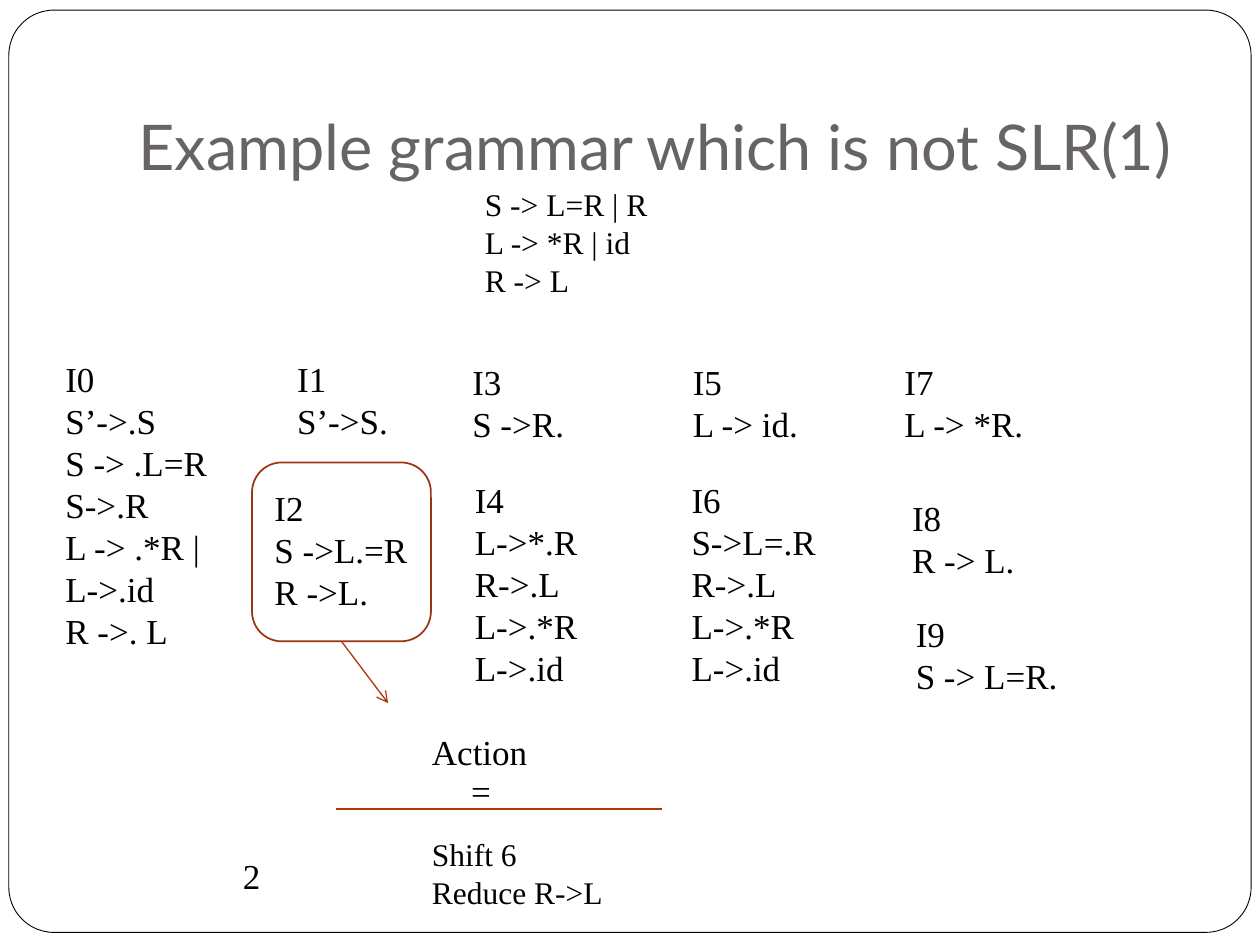
from lxml import etree
from pptx import Presentation
from pptx.dml.color import RGBColor
from pptx.enum.shapes import MSO_CONNECTOR, MSO_SHAPE
from pptx.enum.text import MSO_ANCHOR, MSO_AUTO_SIZE, PP_ALIGN
from pptx.oxml.ns import qn
from pptx.util import Inches, Pt

LINE = MSO_CONNECTOR.STRAIGHT
ROUND = MSO_SHAPE.ROUNDED_RECTANGLE
BOTTOM = MSO_ANCHOR.BOTTOM
LEFT = PP_ALIGN.LEFT
NO_FIT = MSO_AUTO_SIZE.NONE
GROW = MSO_AUTO_SIZE.SHAPE_TO_FIT_TEXT

BLACK = RGBColor(0, 0, 0)
WHITE = RGBColor(255, 255, 255)
GRAY = RGBColor(0x69, 0x64, 0x64)
RUST = RGBColor(0x9C, 0x35, 0x11)
RED = RGBColor(0xB1, 0x36, 0x0B)

# Left, top, width and lines of each item set
STATES = [
    (0.42, 2.79, 1.41, ["I0", "S’->.S", "S -> .L=R", "S->.R", "L -> .*R |",
                        "L->.id", "R ->. L"]),
    (2.26, 2.79, 0.93, ["I1", "S’->S."]),
    (2.08, 3.81, 1.34, ["I2", "S ->L.=R", "R ->L."]),
    (3.65, 2.81, 0.94, ["I3", "S ->R."]),
    (3.67, 3.75, 1.02, ["I4", "L->*.R", "R->.L", "L->.*R", "L->.id"]),
    (5.4, 2.81, 1.04, ["I5", "L -> id."]),
    (5.39, 3.75, 1.2, ["I6", "S->L=.R", "R->.L", "L->.*R", "L->.id"]),
    (7.08, 2.81, 1.15, ["I7", "L -> *R."]),
    (7.14, 3.89, 1.02, ["I8", "R -> L."]),
    (7.17, 4.81, 1.34, ["I9", "S -> L=R."]),
]


class Deck:
    font = "Times New Roman"

    def __init__(self, slide):
        self.slide = slide
        self.shapes = slide.shapes

    def title(self, text, x, y, w, h):
        box = self.shapes.title
        box.left, box.top = Inches(x), Inches(y)
        box.width, box.height = Inches(w), Inches(h)
        frame = box.text_frame
        frame.text = text
        frame.word_wrap = True
        frame.auto_size = NO_FIT
        frame.vertical_anchor = BOTTOM
        frame.margin_bottom = Inches(0.1)
        para = frame.paragraphs[0]
        para.alignment = LEFT
        font = para.runs[0].font
        font.name, font.size = "Lato", Pt(36)
        font.color.rgb = GRAY

    def text(self, lines, x, y, w, size=20):
        high = 0.1 + len(lines) * size / 60
        box = self.shapes.add_textbox(Inches(x), Inches(y), Inches(w), Inches(high))
        frame = box.text_frame
        frame.text = "\n".join(lines)
        frame.word_wrap = False
        frame.auto_size = GROW
        for para in frame.paragraphs:
            para.alignment = LEFT
            font = para.runs[0].font
            font.name, font.size = self.font, Pt(size)
            font.color.rgb = BLACK

    def frame(self, x, y, w, h, color, width, fill=None, bend=None):
        box = self.shapes.add_shape(ROUND, Inches(x), Inches(y), Inches(w), Inches(h))
        box.shadow.inherit = False
        if bend is not None:
            box.adjustments[0] = bend
        if fill is None:
            box.fill.background()
        else:
            box.fill.solid()
            box.fill.fore_color.rgb = fill
        box.line.color.rgb = color
        box.line.width = Pt(width)
        return box

    def line(self, x1, y1, x2, y2, start=None, arrow=False):
        """Draw a line, from the bottom of the start shape if one is given."""
        rule = self.shapes.add_connector(
            LINE, Inches(x1), Inches(y1), Inches(x2), Inches(y2))
        if start is not None:
            rule.begin_connect(start, 2)
        rule.line.color.rgb = RED
        rule.line.width = Pt(0.75)
        if arrow:
            etree.SubElement(rule.line._get_or_add_ln(), qn("a:tailEnd"), type="arrow")
        etree.SubElement(rule._element.spPr, qn("a:effectLst"))


def main():
    prs = Presentation()
    prs.slide_width, prs.slide_height = Inches(10), Inches(7.5)
    deck = Deck(prs.slides.add_slide(prs.slide_layouts[5]))

    border = deck.frame(0.07, 0.08, 9.86, 7.32, BLACK, 0.5, WHITE, 0.049)
    deck.shapes.title._element.addprevious(border._element)
    deck.title("Example grammar which is not SLR(1)", 1, 0.3, 8.5, 1.25)
    deck.text(["S -> L=R | R", "L -> *R | id", "R -> L"], 3.75, 1.42, 1.94, 18)

    for x, y, w, lines in STATES:
        deck.text(lines, x, y, w)
    clash = deck.frame(2, 3.67, 1.42, 1.42, RUST, 1)

    deck.line(2.67, 6.42, 5.25, 6.42)
    deck.text(["Action"], 3.33, 5.75, 0.97)
    deck.text(["="], 3.64, 6.06, 0.36)
    deck.text(["2"], 1.83, 6.73, 0.34)
    deck.text(["Shift 6", "Reduce R->L"], 3.33, 6.58, 1.57, 18)
    deck.line(2.71, 5.09, 3.08, 5.58, clash, True)

    prs.save("out.pptx")


if __name__ == "__main__":
    main()
